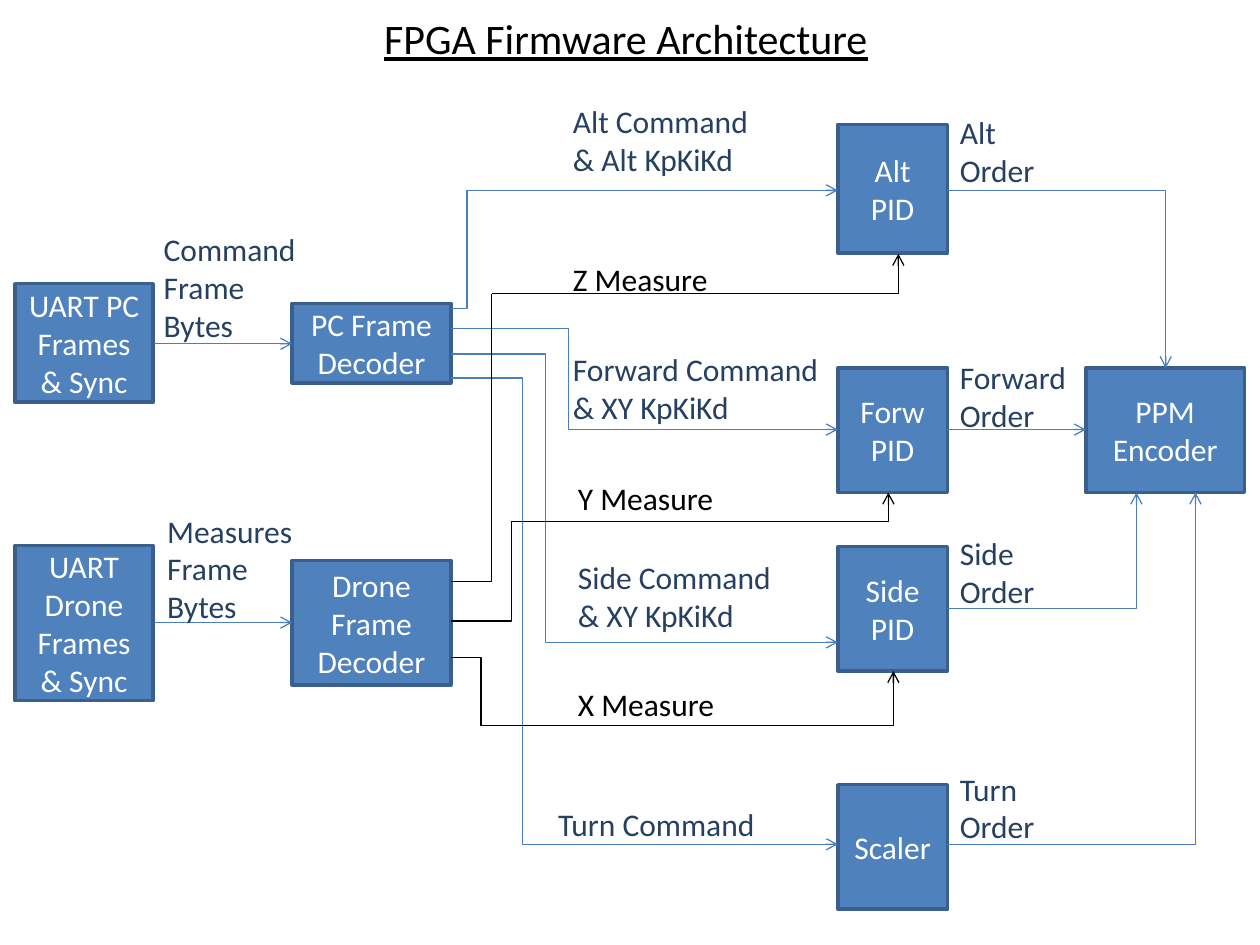
from dataclasses import dataclass

from lxml.etree import SubElement
from pptx import Presentation
from pptx.dml.color import RGBColor
from pptx.enum.shapes import MSO_CONNECTOR as CONN, MSO_SHAPE as SHAPE
from pptx.enum.text import MSO_ANCHOR as ANCHOR, MSO_AUTO_SIZE as AUTO, PP_ALIGN as ALIGN
from pptx.oxml.ns import qn
from pptx.util import Cm, Pt


@dataclass(frozen=True)
class Theme:
    font: str = "Calibri"
    title_size: int = 24
    body_size: int = 18
    fill: str = "4F81BD"
    border: str = "3A5F8C"
    wire: str = "4B7EBC"
    label: str = "254061"
    black: str = "000000"
    white: str = "FFFFFF"
    border_width: float = 2
    wire_width: float = 0.75


THEME = Theme()

# Columns and edges, in cm
UART_X, UART_W, UART_R = 0.3, 2.79, 3.11
DECODER_X, DECODER_W, DECODER_R = 5.89, 3.2, 9.09
PID_X, PID_W, PID_R = 16.89, 2.21, 19.1
PPM_X, PPM_BOTTOM = 21.89, 9.93
BLOCK_H = 2.51

BLOCKS = [  # text, left, top, width, height
    ("UART PC Frames & Sync", UART_X, 5.72, UART_W, 2.39),
    ("UART Drone Frames & Sync", UART_X, 11, UART_W, 3.12),
    ("PC Frame Decoder", DECODER_X, 6.12, DECODER_W, 1.6),
    ("Drone Frame Decoder", DECODER_X, 11.3, DECODER_W, BLOCK_H),
    ("Alt PID", PID_X, 2.51, PID_W, 2.59),
    ("Forw PID", PID_X, 7.42, PID_W, BLOCK_H),
    ("Side PID", PID_X, 11.02, PID_W, BLOCK_H),
    ("Scaler", PID_X, 15.82, PID_W, BLOCK_H),
    ("PPM Encoder", PPM_X, 7.42, DECODER_W, BLOCK_H),
]

LABELS = [  # text, left, top, width, lines
    ("Command Frame Bytes", 3.05, 4.52, 3.25, 3),
    ("Measures\nFrame Bytes", 3.12, 10.19, 3.18, 3),
    ("Alt Command & Alt KpKiKd", 11.3, 1.93, 4.5, 2),
    ("Forward Command & XY KpKiKd", 11.3, 6.93, 5.84, 2),
    ("Side Command & XY KpKiKd", 11.4, 11.13, 4.67, 2),
    ("Turn Command", 11, 16.1, 5.51, 1),
    ("Alt Order", PID_R, 2.16, 2.39, 2),
    ("Forward Order", PID_R, 7.09, 2.79, 2),
    ("Side Order", PID_R, 10.64, 2.79, 2),
    ("Turn Order", PID_R, 15.39, 2.79, 2),
]

MEASURES = [  # text, left, top, decoder y, bend x, bend y, PID x, PID bottom
    ("Z Measure", 11.3, 5.11, 11.73, 9.91, 5.92, 18.11, 5.12),
    ("Y Measure", 11.4, 9.53, 12.52, 10.31, 10.52, 17.91, 9.93),
    ("X Measure", 11.4, 13.69, 13.26, 9.7, 14.63, 18.01, 13.53),
]

STRAIGHT_WIRES = [  # from x, to x, y
    (UART_R, DECODER_X, 6.93),
    (UART_R, DECODER_X, 12.55),
    (PID_R, PPM_X, 8.66),
]

COMMAND_WIRES = [  # decoder y, PID y, bend x
    (6.22, 3.84, 9.42),
    (6.63, 8.66, 11.46),
    (7.14, 12.95, 11),
    (7.62, 17.02, 10.54),
]

ORDER_WIRES = [  # PID y, encoder x, encoder y
    (3.84, 23.5, 7.42),
    (12.27, 22.91, PPM_BOTTOM),
    (17.02, 24.1, PPM_BOTTOM),
]


def rgb(color):
    return RGBColor.from_string(color)


def write(tf, text, color, size=THEME.body_size, align=ALIGN.LEFT):
    tf.word_wrap = True
    tf.text = text
    for p in tf.paragraphs:
        p.alignment = align
        p.font.name = THEME.font
        p.font.size = Pt(size)
        p.font.color.rgb = rgb(color)


def add_title(s, text):
    sp = s.shapes.title
    sp.left, sp.top, sp.width, sp.height = Cm(7.49), Cm(0.13), Cm(10.85), Cm(1.27)
    tf = sp.text_frame
    write(tf, text, THEME.black, THEME.title_size)
    tf.auto_size = AUTO.NONE
    tf.vertical_anchor = ANCHOR.TOP
    tf.paragraphs[0].font.underline = True


def add_block(s, text, *box):
    sp = s.shapes.add_shape(SHAPE.RECTANGLE, *map(Cm, box))
    sp.shadow.inherit = False
    sp.fill.solid()
    sp.fill.fore_color.rgb = rgb(THEME.fill)
    sp.line.color.rgb = rgb(THEME.border)
    sp.line.width = Pt(THEME.border_width)
    sp.text_frame.vertical_anchor = ANCHOR.MIDDLE
    write(sp.text_frame, text, THEME.white, align=ALIGN.CENTER)


def add_label(s, text, left, top, width, lines, color=THEME.label):
    height = 0.24 + 0.78 * lines
    tf = s.shapes.add_textbox(Cm(left), Cm(top), Cm(width), Cm(height)).text_frame
    write(tf, text, color)
    tf.auto_size = AUTO.SHAPE_TO_FIT_TEXT


def add_wire(s, kind, start, end, color=THEME.wire, arrow=True):
    cxn = s.shapes.add_connector(kind, *map(Cm, start + end))
    cxn.line.color.rgb = rgb(color)
    cxn.line.width = Pt(THEME.wire_width)
    spPr = cxn._element.spPr
    if arrow:
        SubElement(spPr.find(qn("a:ln")), qn("a:tailEnd"), type="arrow")
    SubElement(spPr, qn("a:effectLst"))
    return spPr.find(qn("a:prstGeom"))


def add_corner(s, start, end, **style):
    """One bend: horizontal first, then vertical."""
    geom = add_wire(s, CONN.ELBOW, start, end, **style)
    geom.set("prst", "bentConnector2")


def add_step(s, start, end, bend_x):
    """Two bends, with the vertical part at bend_x."""
    geom = add_wire(s, CONN.ELBOW, start, end)
    share = round((bend_x - start[0]) / (end[0] - start[0]) * 100000)
    SubElement(geom.get_or_add_avLst(), qn("a:gd"), name="adj1", fmla=f"val {share}")


def add_measure(s, text, left, top, from_y, bend_x, bend_y, to_x, to_y):
    bend = (bend_x, bend_y)
    add_corner(s, (DECODER_R, from_y), bend, color=THEME.black, arrow=False)
    add_corner(s, bend, (to_x, to_y), color=THEME.black)
    add_label(s, text, left, top, 4.5, 1, THEME.black)


def main():
    prs = Presentation()
    prs.slide_width, prs.slide_height = Cm(25.4), Cm(19.05)
    s = prs.slides.add_slide(prs.slide_layouts[5])
    add_title(s, "FPGA Firmware Architecture")
    for block in BLOCKS:
        add_block(s, *block)
    for from_x, to_x, y in STRAIGHT_WIRES:
        add_wire(s, CONN.STRAIGHT, (from_x, y), (to_x, y))
    for from_y, to_y, bend_x in COMMAND_WIRES:
        add_step(s, (DECODER_R, from_y), (PID_X, to_y), bend_x)
    for from_y, to_x, to_y in ORDER_WIRES:
        add_corner(s, (PID_R, from_y), (to_x, to_y))
    for measure in MEASURES:
        add_measure(s, *measure)
    for label in LABELS:
        add_label(s, *label)
    prs.save("out.pptx")


if __name__ == "__main__":
    main()
